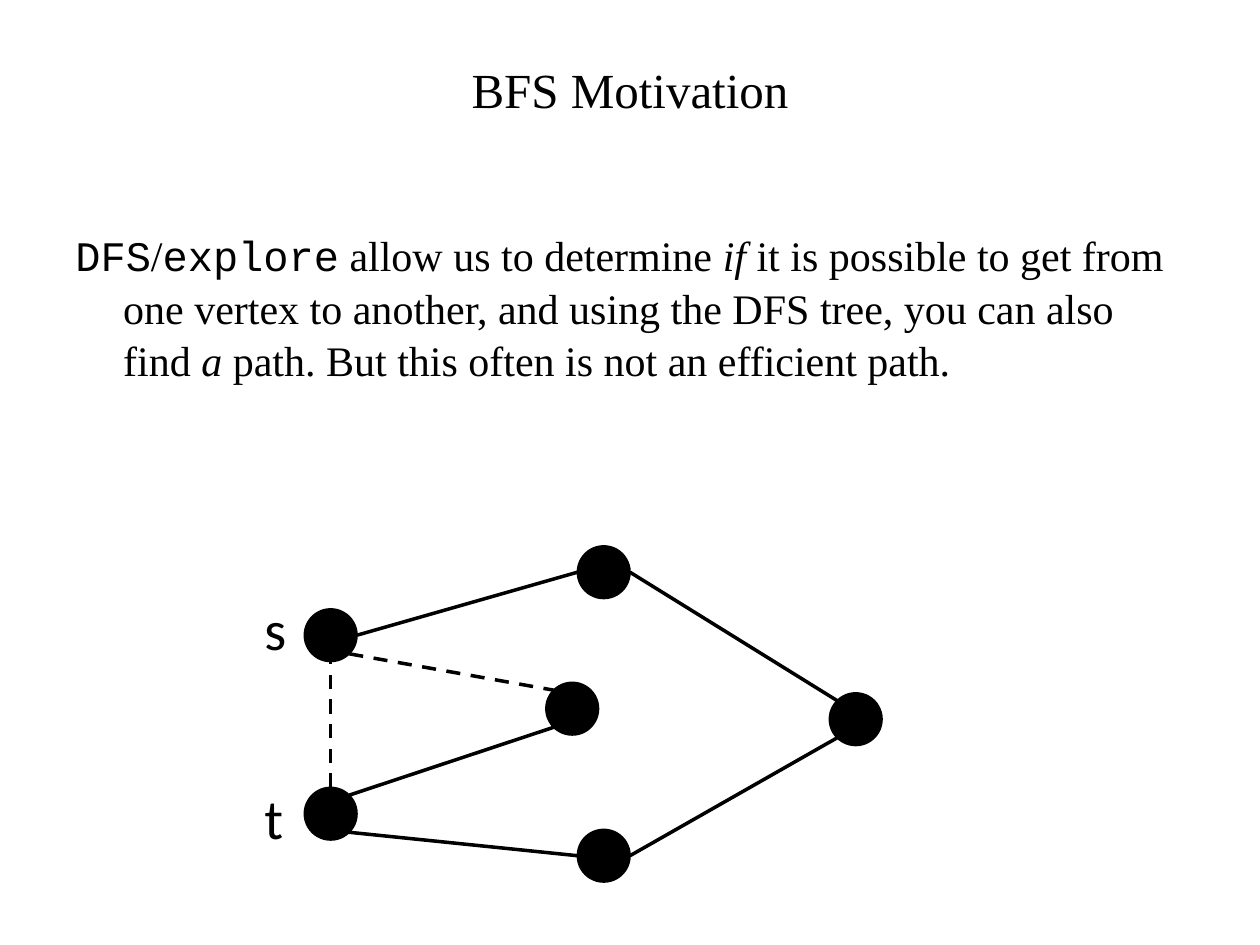
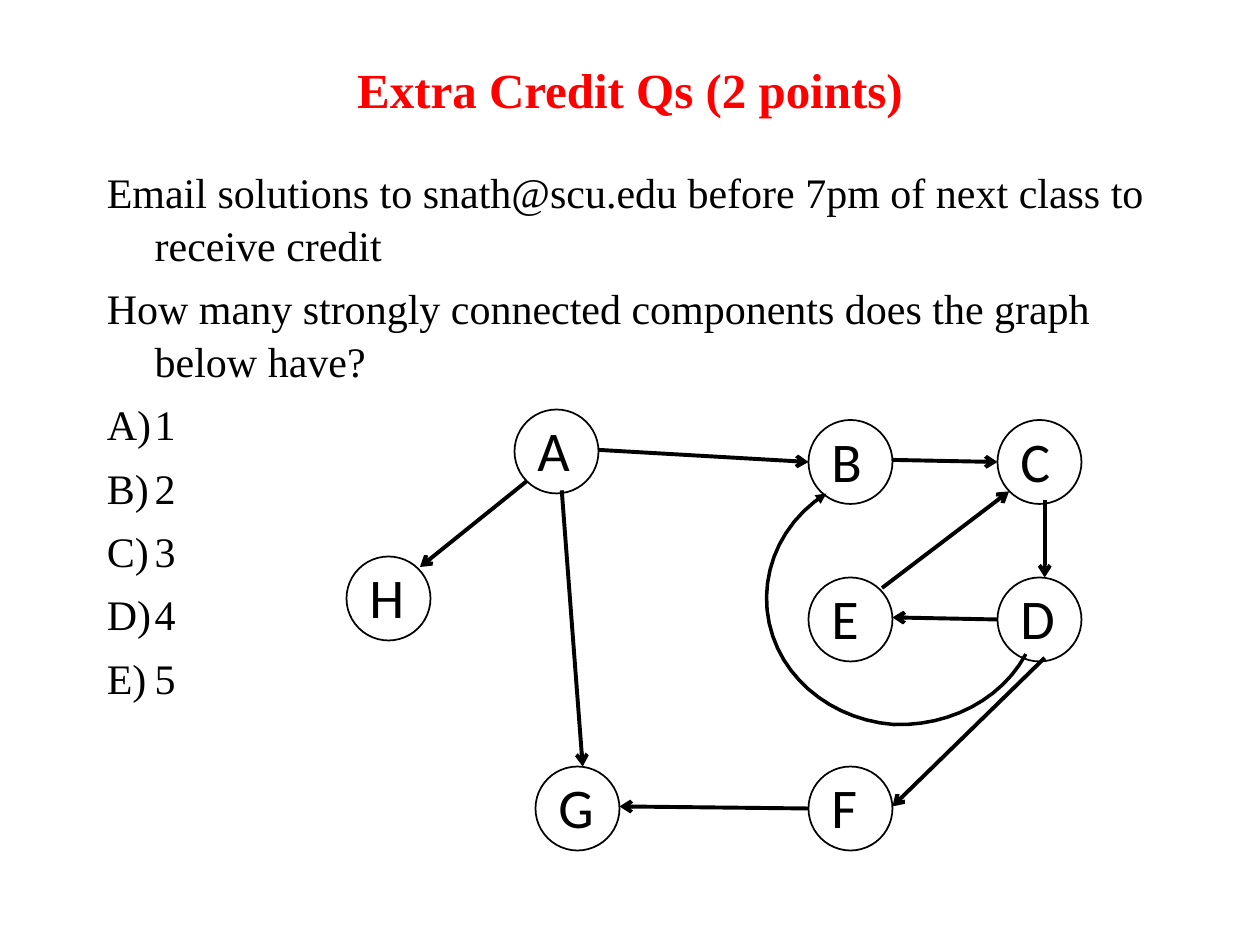
from math import cos, radians, sin

from lxml import etree
from pptx import Presentation
from pptx.dml.color import RGBColor
from pptx.enum.dml import MSO_LINE
from pptx.enum.shapes import MSO_CONNECTOR, MSO_SHAPE
from pptx.enum.text import MSO_ANCHOR, PP_ALIGN
from pptx.oxml.ns import qn
from pptx.util import Inches, Pt

BLACK = RGBColor(0x00, 0x00, 0x00)
RED = RGBColor(0xFF, 0x00, 0x00)
SERIF, MONO, SANS = "Times New Roman", "Courier New", "Calibri"
DASH = MSO_LINE.DASH
STRAIGHT = MSO_CONNECTOR.STRAIGHT
OVAL = MSO_SHAPE.OVAL
MIDDLE, TOP = MSO_ANCHOR.MIDDLE, MSO_ANCHOR.TOP
CENTER, LEFT = PP_ALIGN.CENTER, PP_ALIGN.LEFT

COLUMNS, ROWS = 120, 90
INDENT = Inches(0.38)
DOT, CIRCLE = 5, 8
SIDES = {"right": 0, "bottom right": 45, "bottom": 90, "bottom left": 135,
         "left": 180, "top left": 225, "top": 270, "top right": 315}


def rim(corner, side):
    angle = radians(SIDES[side])
    radius = DOT / 2
    return (corner[0] + radius * (1 + cos(angle)),
            corner[1] + radius * (1 + sin(angle)))


def bezier(start, control_1, control_2, end, steps=12):
    for step in range(1, steps + 1):
        t = step / steps
        weights = ((1 - t) ** 3, 3 * t * (1 - t) ** 2, 3 * t * t * (1 - t), t ** 3)
        corners = (start, control_1, control_2, end)
        yield tuple(sum(w * corner[axis] for w, corner in zip(weights, corners))
                    for axis in (0, 1))


class Deck:
    def __init__(self):
        self.presentation = Presentation()
        self.presentation.slide_width = Inches(10)
        self.presentation.slide_height = Inches(7.5)
        self.shapes = None

    def grid(self, column, row):
        return (round(column * self.presentation.slide_width / COLUMNS),
                round(row * self.presentation.slide_height / ROWS))

    def new_slide(self, title, color=BLACK, bold=False):
        slide = self.presentation.slides.add_slide(self.presentation.slide_layouts[6])
        self.shapes = slide.shapes
        frame = self.text_frame(self.shapes, (9, 5), (102, 7), MIDDLE)
        self.styled_run(frame.paragraphs[0], title, 28, SERIF, color, bold, CENTER)

    def text_frame(self, shapes, corner, size, anchor=TOP):
        frame = shapes.add_textbox(*self.grid(*corner), *self.grid(*size)).text_frame
        frame.word_wrap = True
        frame.vertical_anchor = anchor
        return frame

    def styled_run(self, paragraph, text, size, font, color=BLACK, bold=False, align=LEFT):
        paragraph.alignment = align
        run = paragraph.add_run()
        run.text = text
        run.font.size = Pt(size)
        run.font.name = font
        run.font.color.rgb = color
        run.font.bold = bold
        return run

    def body(self, corner, size, paragraphs):
        frame = self.text_frame(self.shapes, corner, size)
        for index, (runs, lettered) in enumerate(paragraphs):
            paragraph = frame.add_paragraph() if index else frame.paragraphs[0]
            paragraph.line_spacing = 1.05
            if index:
                paragraph.space_before = Pt(6)
            properties = paragraph._p.get_or_add_pPr()
            properties.set("marL", str(INDENT))
            properties.set("indent", str(-INDENT))
            if lettered:
                etree.SubElement(properties, qn("a:buAutoNum"), type="alphaUcParenR")
            for text, font, italic in runs:
                self.styled_run(paragraph, text, 24, font).font.italic = italic

    def label(self, text, corner, width, shapes=None):
        frame = self.text_frame(shapes or self.shapes, corner, (width, 7.7))
        self.styled_run(frame.paragraphs[0], text, 32, SANS)

    def circle(self, corner, diameter, filled, shapes=None):
        shape = (shapes or self.shapes).add_shape(
            OVAL, *self.grid(*corner), *self.grid(diameter, diameter))
        shape.shadow.inherit = False
        self.outline(shape, 1)
        if filled:
            shape.fill.solid()
            shape.fill.fore_color.rgb = BLACK
        else:
            shape.fill.background()

    def lettered_node(self, letter, corner):
        group = self.shapes.add_group_shape().shapes
        self.circle(corner, CIRCLE, False, group)
        self.label(letter, (corner[0] + 1, corner[1]), CIRCLE - 1, group)

    def outline(self, shape, width, head=None):
        shape.line.color.rgb = BLACK
        shape.line.width = Pt(width)
        if head:
            etree.SubElement(shape.line._get_or_add_ln(), qn("a:tailEnd"), type=head)

    def edge(self, start, end, width=2, dashed=False, head=None):
        connector = self.shapes.add_connector(
            STRAIGHT, *self.grid(*start), *self.grid(*end))
        if dashed:
            connector.line.dash_style = DASH
        self.outline(connector, width, head)
        etree.SubElement(connector._element.spPr, qn("a:effectLst"))

    def curve(self, start, segments):
        points = [start]
        for segment in segments:
            points.extend(bezier(points[-1], *segment))
        builder = self.shapes.build_freeform(*self.grid(*start))
        builder.add_line_segments([self.grid(*point) for point in points[1:]], close=False)
        shape = builder.convert_to_shape()
        shape.shadow.inherit = False
        shape.fill.background()
        self.outline(shape, 2, "triangle")


def motivation(deck):
    deck.new_slide("BFS Motivation")
    deck.body((6, 21), (108, 28), [([
        ("DFS", MONO, False),
        ("/", SERIF, False),
        ("explore", MONO, False),
        (" allow us to determine ", SERIF, False),
        ("if", SERIF, True),
        (" it is possible to get from one vertex to another, and using the DFS tree, "
         "you can also find ", SERIF, False),
        ("a", SERIF, True),
        (" path. But this often is not an efficient path.", SERIF, False),
    ], False)])
    vertices = {"s": (29, 58), "upper": (55, 52), "far": (79, 66),
                "lower": (55, 79), "t": (29, 75), "inner": (52, 65)}
    for corner in vertices.values():
        deck.circle(corner, DOT, True)
    for start, start_side, end, end_side, dashed in (
            ("s", "right", "upper", "left", False),
            ("far", "top left", "upper", "right", False),
            ("lower", "right", "far", "bottom left", False),
            ("t", "bottom right", "lower", "left", False),
            ("t", "top right", "inner", "bottom left", False),
            ("t", "top", "s", "bottom", True),
            ("s", "bottom right", "inner", "top left", True)):
        deck.edge(rim(vertices[start], start_side), rim(vertices[end], end_side),
                  dashed=dashed)
    deck.label("s", (24, 56), 5)
    deck.label("t", (24, 74), 5)


def extra_credit(deck):
    deck.new_slide("Extra Credit Qs (2 points)", RED, True)
    questions = (
        "Email solutions to snath@scu.edu before 7pm of next class to receive credit",
        "How many strongly connected components does the graph below have?")
    paragraphs = [([(text, SERIF, False)], False) for text in questions]
    paragraphs += [([(answer, SERIF, False)], True) for answer in "12345"]
    deck.body((9, 15), (102, 65), paragraphs)
    nodes = {"A": (49, 39), "B": (77, 40), "C": (95, 40), "D": (95, 55),
             "E": (77, 55), "F": (77, 73), "G": (51, 73), "H": (33, 53)}
    for letter, corner in nodes.items():
        deck.lettered_node(letter, corner)
    for start, end in (
            ((57, 42.85), (77, 44)),
            ((85, 43.8), (95, 44)),
            ((99.5, 47.65), (99.5, 55)),
            ((95, 59), (85, 58.8)),
            ((84, 56), (96.1, 46.8)),
            ((53.5, 46.7), (55.5, 73)),
            ((77, 77), (59, 76.8)),
            ((99.5, 62.65), (85, 76.8)),
            ((50.2, 45.8), (40, 54))):
        deck.edge(start, end, width=2.25, head="arrow")
    deck.curve((97.7, 62.3), (
        ((95.4, 66.6), (90.4, 69.2), (85.1, 69)),
        ((79.8, 68.6), (75.2, 65.3), (73.6, 60.6)),
        ((71.9, 55.6), (73.9, 50), (78.7, 47))))


def main():
    deck = Deck()
    motivation(deck)
    extra_credit(deck)
    deck.presentation.save("out.pptx")


if __name__ == "__main__":
    main()
